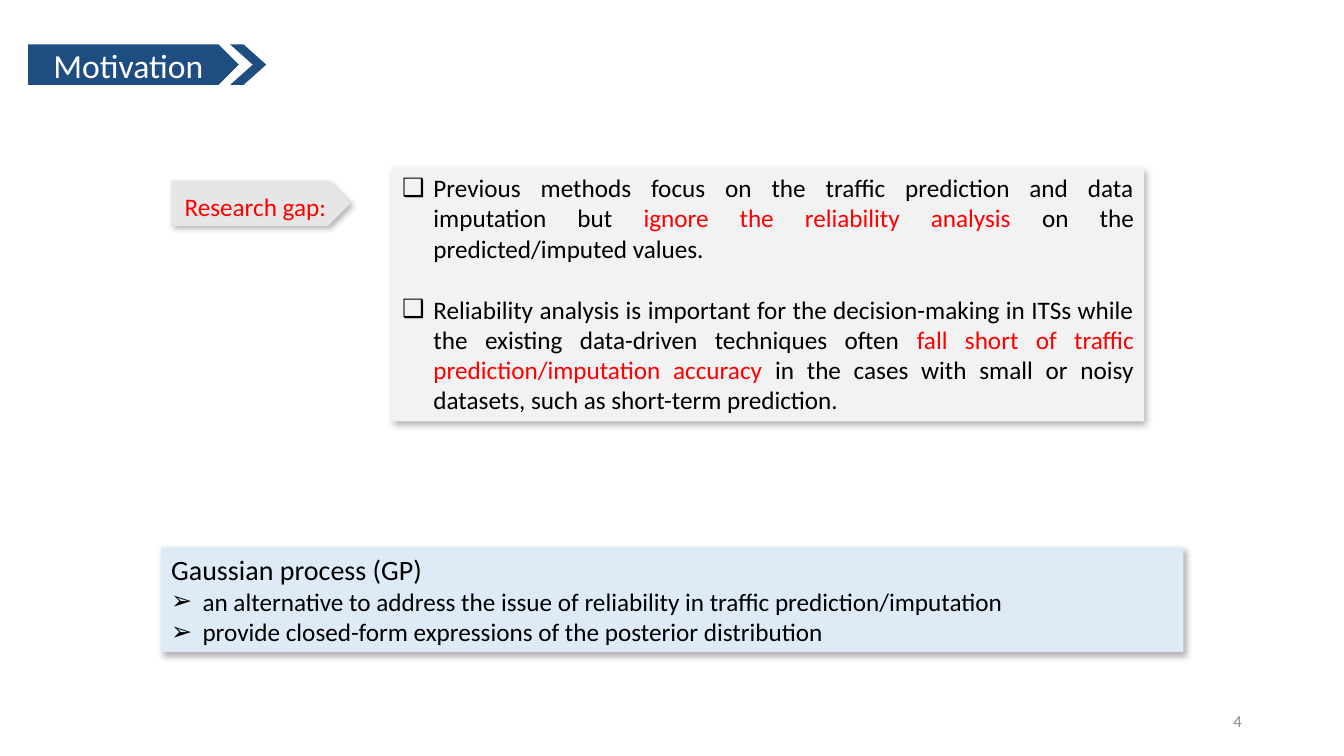
from lxml.etree import SubElement
from pptx import Presentation
from pptx.dml.color import RGBColor
from pptx.enum.shapes import MSO_SHAPE
from pptx.enum.text import MSO_ANCHOR, MSO_AUTO_SIZE, PP_ALIGN
from pptx.oxml.ns import qn
from pptx.util import Cm, Pt


def paint(shape, color, shade):
    shape.fill.solid()
    shape.fill.fore_color.rgb = RGBColor.from_string(color)
    shape.line.fill.background()
    shape.shadow.inherit = False
    if shade:
        effects = shape._element.spPr.find(qn("a:effectLst"))
        outer = SubElement(effects, qn("a:outerShdw"), blurRad="57150", dist="33020",
                           dir="3180000", algn="tl", rotWithShape="0")
        tint = SubElement(outer, qn("a:srgbClr"), val="000000")
        SubElement(tint, qn("a:alpha"), val="30000")


def write(para, parts, size, align):
    para.alignment = align
    for text, color in parts:
        run = para.add_run()
        run.text = text
        run.font.name = "Calibri"
        run.font.size = Pt(size)
        run.font.color.rgb = RGBColor.from_string(color)


BLUE, RED, BLACK, WHITE = "1D4D81", "FF0000", "000000", "FFFFFF"

deck = Presentation()
deck.slide_width, deck.slide_height = Cm(33.87), Cm(19.05)
slide = deck.slides.add_slide(deck.slide_layouts[3])
shapes = slide.shapes
title, gaps, process = slide.placeholders

banner = shapes.add_shape(MSO_SHAPE.PENTAGON, Cm(0.71), Cm(1.12), Cm(5.31), Cm(1.02))
paint(banner, BLUE, False)
arrow = shapes.add_shape(MSO_SHAPE.CHEVRON, Cm(5.8), Cm(1.12), Cm(0.91), Cm(1.02))
arrow.adjustments[0] = 0.627
paint(arrow, BLUE, False)

title.left, title.top, title.width, title.height = Cm(0.71), Cm(1.12), Cm(5.05), Cm(1.02)
frame = title.text_frame
frame.auto_size = MSO_AUTO_SIZE.NONE
frame.vertical_anchor = MSO_ANCHOR.MIDDLE
write(frame.paragraphs[0], [("Motivation", WHITE)], 24, PP_ALIGN.CENTER)
shapes._spTree.append(title._element)

label = shapes.add_shape(MSO_SHAPE.PENTAGON, Cm(4.32), Cm(4.55), Cm(4.52), Cm(1.14))
paint(label, "E7E6E6", True)
frame = label.text_frame
frame.word_wrap = True
frame.vertical_anchor = MSO_ANCHOR.MIDDLE
frame.paragraphs[0].line_spacing = 1.25
write(frame.paragraphs[0], [("Research gap:", RED)], 18, PP_ALIGN.CENTER)

lists = [
    (process, (4.06, 13.79, 25.76, 2.64), "DEEBF7", 0, [
        (None, 20, [("Gaussian process (GP)", BLACK)]),
        ("➢", 18, [("an alternative to address the issue of reliability in traffic "
                    "prediction/imputation", BLACK)]),
        ("➢", 18, [("provide closed-form expressions of the posterior distribution", BLACK)]),
    ]),
    (gaps, (9.88, 4.22, 18.95, 6.4), "F2F2F2", 22, [
        ("❑", 18, [("Previous methods focus on the traffic prediction and data "
                    "imputation but ", BLACK),
                   ("ignore the reliability analysis ", RED),
                   ("on the predicted/imputed values.", BLACK)]),
        ("❑", 18, [("Reliability analysis is important for the decision-making in ITSs "
                    "while the existing data-driven techniques often ", BLACK),
                   ("fall short of traffic prediction/imputation accuracy", RED),
                   (" in the cases with small or noisy datasets, such as short-term "
                    "prediction.", BLACK)]),
    ]),
]
for box, place, color, gap, items in lists:
    box.left, box.top, box.width, box.height = map(Cm, place)
    paint(box, color, True)
    frame = box.text_frame
    frame.word_wrap = True
    frame.auto_size = MSO_AUTO_SIZE.NONE
    frame.vertical_anchor = MSO_ANCHOR.TOP
    for i, (mark, size, parts) in enumerate(items):
        para = frame.add_paragraph() if i else frame.paragraphs[0]
        props = para._p.get_or_add_pPr()
        indent = Cm(0.79) if mark else 0
        props.set("marL", str(indent))
        props.set("indent", str(-indent))
        if mark:
            SubElement(props, qn("a:buChar"), char=mark)
        else:
            SubElement(props, qn("a:buNone"))
        para.space_before = Pt(gap if i else 0)
        write(para, parts, size, PP_ALIGN.JUSTIFY)

number = shapes.add_textbox(Cm(23.93), Cm(17.65), Cm(7.62), Cm(1.02))
frame = number.text_frame
frame.word_wrap = True
frame.vertical_anchor = MSO_ANCHOR.MIDDLE
write(frame.paragraphs[0], [("4", "8C8C8C")], 12, PP_ALIGN.RIGHT)

deck.save("out.pptx")
